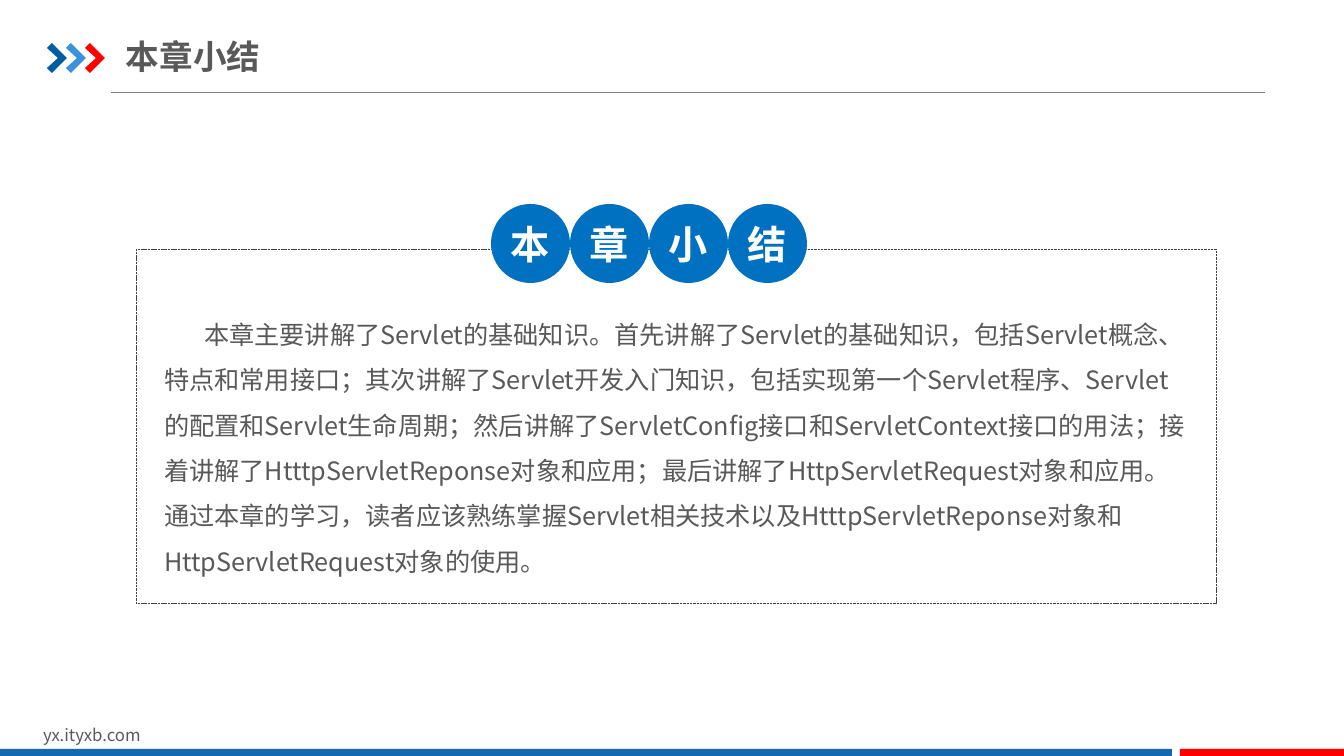
from lxml import etree
from pptx import Presentation
from pptx.dml.color import RGBColor
from pptx.enum.dml import MSO_LINE
from pptx.enum.shapes import MSO_CONNECTOR, MSO_SHAPE
from pptx.enum.text import MSO_ANCHOR, PP_ALIGN
from pptx.oxml.ns import qn
from pptx.util import Pt

PX = 914400 / 100.8  # EMU in one px
FONT = "Noto Sans CJK SC"
STRAIGHT = MSO_CONNECTOR.STRAIGHT
RECTANGLE, OVAL = MSO_SHAPE.RECTANGLE, MSO_SHAPE.OVAL
TOP, MIDDLE = MSO_ANCHOR.TOP, MSO_ANCHOR.MIDDLE
LEFT, CENTER = PP_ALIGN.LEFT, PP_ALIGN.CENTER
SQUARE_DOT = MSO_LINE.SQUARE_DOT

COLORS = {
    "text": "595959",
    "white": "FFFFFF",
    "rule": "808080",
    "frame": "404040",
    "circle": "0070C0",
    "bar": "1369B2",
    "navy": "005DA2",
    "sky": "3992DB",
    "red": "FF0000",
}
CHEVRON = [(0, 5), (5, 0), (20, 15), (5, 30), (0, 25), (11, 15)]
TITLE = "本章小结"
SUMMARY = (
    "本章主要讲解了Servlet的基础知识。首先讲解了Servlet的基础知识，包括Servlet概念、特点和常用接口；"
    "其次讲解了Servlet开发入门知识，包括实现第一个Servlet程序、Servlet的配置和Servlet生命周期；"
    "然后讲解了ServletConfig接口和ServletContext接口的用法；"
    "接着讲解了HtttpServletReponse对象和应用；最后讲解了HttpServletRequest对象和应用。"
    "通过本章的学习，读者应该熟练掌握Servlet相关技术以及"
    "HtttpServletReponse对象和HttpServletRequest对象的使用。"
)


def px(*values):
    return [round(value * PX) for value in values]


def color(name):
    return RGBColor.from_string(COLORS[name])


def set_all(target, formats):
    for name, value in formats.items():
        setattr(target, name, value)


def paint(shape, fill):
    """Give a shape a plain fill, with no line and no shadow."""
    shape.shadow.inherit = False
    shape.fill.solid()
    shape.fill.fore_color.rgb = color(fill)
    shape.line.fill.background()


def write(shape, text, size, name="text", bold=False, anchor=TOP, align=LEFT,
          insets=(10, 5), wrap=True, spacing=1.0, indent=0):
    frame = shape.text_frame
    side, end = px(*insets)
    set_all(frame, {
        "word_wrap": wrap, "vertical_anchor": anchor,
        "margin_left": side, "margin_right": side,
        "margin_top": end, "margin_bottom": end,
    })
    paragraph = frame.paragraphs[0]
    set_all(paragraph, {"alignment": align, "line_spacing": spacing})
    if indent:
        paragraph._p.get_or_add_pPr().set("indent", str(px(indent)[0]))
    run = paragraph.add_run()
    run.text = text
    set_all(run.font, {"name": FONT, "size": Pt(size), "bold": bold})
    run.font.color.rgb = color(name)
    # East Asian glyphs take their own typeface
    etree.SubElement(run._r.get_or_add_rPr(), qn("a:ea")).set("typeface", FONT)


def add_text(slide, box, text, size, **formats):
    write(slide.shapes.add_textbox(*px(*box)), text, size, **formats)


def add_bar(slide, box, fill):
    paint(slide.shapes.add_shape(RECTANGLE, *px(*box)), fill)


def add_chevron(slide, left, top, fill):
    points = [(left + x, top + y) for x, y in CHEVRON]
    builder = slide.shapes.build_freeform(*points[0], scale=PX)
    builder.add_line_segments(points[1:], close=True)
    paint(builder.convert_to_shape(), fill)


def add_rule(slide, left, right, y):
    rule = slide.shapes.add_connector(STRAIGHT, *px(left, y, right, y))
    rule.line.width = Pt(0.5)
    rule.line.color.rgb = color("rule")
    etree.SubElement(rule._element.spPr, qn("a:effectLst"))


def add_frame(slide, box):
    frame = slide.shapes.add_shape(RECTANGLE, *px(*box))
    frame.shadow.inherit = False
    frame.fill.background()
    frame.line.color.rgb = color("frame")
    set_all(frame.line, {"width": Pt(0.25), "dash_style": SQUARE_DOT})


def add_circle(slide, left, top, size, character):
    circle = slide.shapes.add_shape(OVAL, *px(left, top, size, size))
    paint(circle, "circle")
    write(circle, character, 28, name="white", bold=True, anchor=MIDDLE,
          align=CENTER, insets=(0, 0), wrap=False)


def main():
    presentation = Presentation()
    width, height = px(1344, 756)
    set_all(presentation, {"slide_width": width, "slide_height": height})
    slide = presentation.slides.add_slide(presentation.slide_layouts[6])

    # Header
    add_rule(slide, 111, 1265, 92)
    for index, fill in enumerate(["navy", "sky", "red"]):
        add_chevron(slide, 47 + 19 * index, 43, fill)
    add_text(slide, (126, 29, 429, 55), TITLE, 24, bold=True,
             anchor=MIDDLE, insets=(0, 7))

    # Footer
    add_text(slide, (33, 720, 321, 30), "yx.ityxb.com", 12)
    add_bar(slide, (0, 749, 1172, 7), "bar")
    add_bar(slide, (1180, 749, 164, 7), "red")

    # Summary panel
    add_frame(slide, (136, 249, 1080, 354))
    for index, character in enumerate(TITLE):
        add_circle(slide, 491 + 79 * index, 204, 79, character)
    add_text(slide, (151, 297, 1047, 283), SUMMARY, 18, insets=(13, 7),
             spacing=1.5, indent=40)

    presentation.save("out.pptx")


if __name__ == "__main__":
    main()
